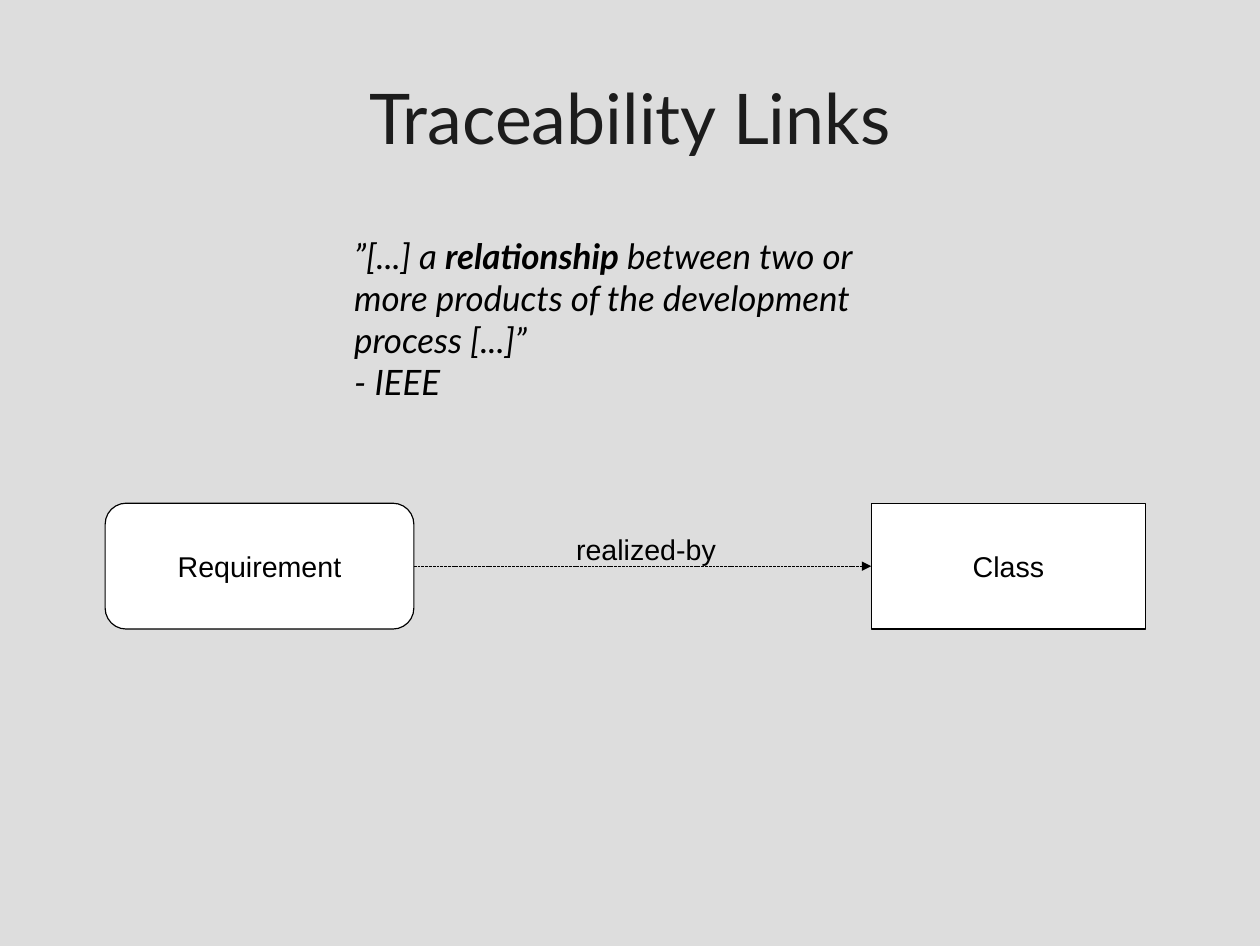
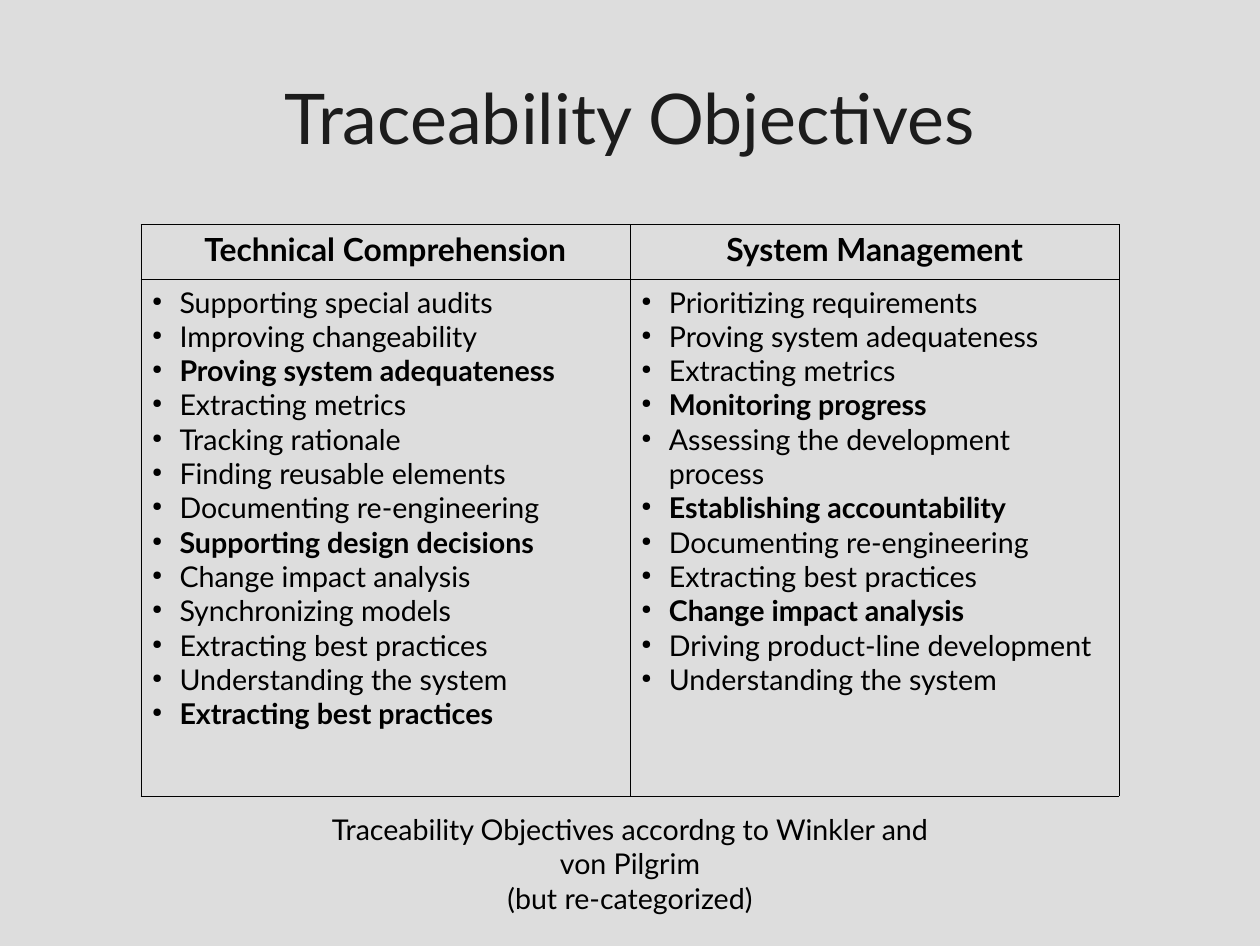
from dataclasses import dataclass

from lxml.etree import SubElement
from pptx import Presentation
from pptx.dml.color import RGBColor
from pptx.enum.dml import MSO_LINE
from pptx.enum.shapes import MSO_CONNECTOR, MSO_SHAPE
from pptx.enum.text import MSO_ANCHOR, MSO_AUTO_SIZE, PP_ALIGN
from pptx.oxml.ns import qn
from pptx.util import Inches, Pt


@dataclass(frozen=True)
class Theme:
    back: str = "DDDDDD"
    ink: str = "000000"
    head: str = "1C1C1C"
    paper: str = "FFFFFF"
    text: str = "Lato"
    label: str = "Arial"
    title: int = 44
    quote: int = 22
    column: int = 20
    body: int = 18
    border: float = 0.06
    dash: float = 0.6


THEME = Theme()
WIDE, HIGH = Inches(11.02), Inches(8.27)
LEFT, MID = PP_ALIGN.LEFT, PP_ALIGN.CENTER

GOALS = {
    "Technical Comprehension": [
        "Supporting special audits",
        "Improving changeability",
        "*Proving system adequateness*",
        "Extracting metrics",
        "Tracking rationale",
        "Finding reusable elements",
        "Documenting re-engineering",
        "*Supporting design decisions*",
        "Change impact analysis",
        "Synchronizing models",
        "Extracting best practices",
        "Understanding the system",
        "*Extracting best practices*",
    ],
    "System Management": [
        "Prioritizing requirements",
        "Proving system adequateness",
        "Extracting metrics",
        "*Monitoring progress*",
        "Assessing the development process",
        "*Establishing accountability*",
        "Documenting re-engineering",
        "Extracting best practices",
        "*Change impact analysis*",
        "Driving product-line development",
        "Understanding the system",
    ],
}


def area(x, y, w, h):
    """Turn percentages of the slide's width and height into lengths."""
    return [round(size * part / 100)
            for size, part in zip((WIDE, HIGH, WIDE, HIGH), (x, y, w, h))]


def color(name):
    return RGBColor.from_string(name)


def bullet(para):
    props = para._p.get_or_add_pPr()
    props.set("marL", str(Inches(0.24)))
    props.set("indent", str(-Inches(0.24)))
    SubElement(SubElement(props, qn("a:buClr")), qn("a:srgbClr"), val=THEME.ink)
    SubElement(props, qn("a:buSzPct"), val="45000")
    SubElement(props, qn("a:buChar"), char="●")


def say(frame, lines, size=THEME.body, face=THEME.text, ink=THEME.ink,
        align=MID, italic=False, dots=False):
    """Write one paragraph per line; words between asterisks are bold."""
    for row, line in enumerate(lines):
        para = frame.add_paragraph() if row else frame.paragraphs[0]
        para.alignment = align
        if dots:
            bullet(para)
        for part, words in enumerate(line.split("*")):
            if words:
                run = para.add_run()
                run.text = words
                font = run.font
                font.name, font.size = face, Pt(size)
                font.bold, font.italic = part % 2 == 1, italic
                font.color.rgb = color(ink)


def start(deck, title):
    """Add a slide with its title."""
    slide = deck.slides.add_slide(deck.slide_layouts.get_by_name("Title Only"))
    frame = slide.shapes.title.text_frame
    say(frame, [title], THEME.title, ink=THEME.head)
    return slide


def style(deck):
    """Set the background and the title's place for all slides."""
    fill = deck.slide_master.background.fill
    fill.solid()
    fill.fore_color.rgb = color(THEME.back)
    title = deck.slide_layouts.get_by_name("Title Only").placeholders[0]
    title.left, title.top, title.width, title.height = area(5, 4, 90, 16.7)
    frame = title.text_frame
    frame.margin_left = frame.margin_right = 0
    frame.margin_top = frame.margin_bottom = 0
    frame.vertical_anchor = MSO_ANCHOR.MIDDLE
    frame.auto_size = MSO_AUTO_SIZE.NONE


def note(slide, place, lines, **look):
    frame = slide.shapes.add_textbox(*area(*place)).text_frame
    frame.word_wrap = True
    say(frame, lines, **look)


def node(slide, kind, place, name):
    shape = slide.shapes.add_shape(kind, *area(*place))
    shape.shadow.inherit = False
    shape.fill.solid()
    shape.fill.fore_color.rgb = color(THEME.paper)
    shape.line.color.rgb = color(THEME.ink)
    shape.line.width = Pt(0)
    frame = shape.text_frame
    frame.word_wrap = False
    frame.vertical_anchor = MSO_ANCHOR.MIDDLE
    say(frame, [name], face=THEME.label)
    return shape


def arrow(slide, tail, head):
    """Draw a dashed arrow from the right of one node to the left of another."""
    link = slide.shapes.add_connector(MSO_CONNECTOR.STRAIGHT, 0, 0, 0, 0)
    link.begin_connect(tail, 3)
    link.end_connect(head, 1)
    line = link.line
    line.color.rgb = color(THEME.ink)
    line.width = Pt(THEME.dash)
    line.dash_style = MSO_LINE.SQUARE_DOT
    SubElement(line._get_or_add_ln(), qn("a:tailEnd"), type="triangle")
    SubElement(link._element.spPr, qn("a:effectLst"))


def frame_cell(cell):
    """Give a cell thin borders and no fill."""
    props = cell._tc.get_or_add_tcPr()
    for side in "LRTB":
        line = SubElement(props, qn(f"a:ln{side}"), w=str(Pt(THEME.border)))
        fill = SubElement(line, qn("a:solidFill"))
        SubElement(fill, qn("a:srgbClr"), val=THEME.ink)
    cell.fill.background()


def grid(slide, place, goals, share):
    """Add a table of lists; share is the header's part of the height."""
    x, y, w, h = area(*place)
    table = slide.shapes.add_table(2, len(goals), x, y, w, h).table
    table.first_row = table.horz_banding = False
    table.rows[0].height = round(h * share)
    table.rows[1].height = h - table.rows[0].height
    for col, (head, items) in enumerate(goals.items()):
        top, body = table.cell(0, col), table.cell(1, col)
        say(top.text_frame, [f"*{head}*"], THEME.column)
        say(body.text_frame, items, align=LEFT, dots=True)
        frame_cell(top)
        frame_cell(body)


def links(deck):
    slide = start(deck, "Traceability Links")
    note(slide, (27.22, 24.18, 47.19, 21.4),
         ["”[...] a *relationship* between two or more products "
          "of the development process [...]”", "- IEEE"],
         size=THEME.quote, align=LEFT, italic=True)
    y, h = 53.2, 13.3
    goal = node(slide, MSO_SHAPE.RECTANGLE, (69.15, y, 21.78, h), "Class")
    need = node(slide, MSO_SHAPE.ROUNDED_RECTANGLE, (8.35, y, 24.5, h),
                "Requirement")
    arrow(slide, need, goal)
    note(slide, (42.65, 55.62, 17.24, 4.6), ["realized-by"], face=THEME.label)


def aims(deck):
    slide = start(deck, "Traceability Objectives")
    grid(slide, (11.16, 23.7, 77.68, 60.46), GOALS, 0.096)
    note(slide, (25.05, 85.25, 49.9, 13.54),
         ["Traceability Objectives accordng to Winkler and von Pilgrim",
          "(but re-categorized)"])


def main():
    deck = Presentation()
    deck.slide_width, deck.slide_height = WIDE, HIGH
    style(deck)
    links(deck)
    aims(deck)
    deck.save("out.pptx")


if __name__ == "__main__":
    main()
